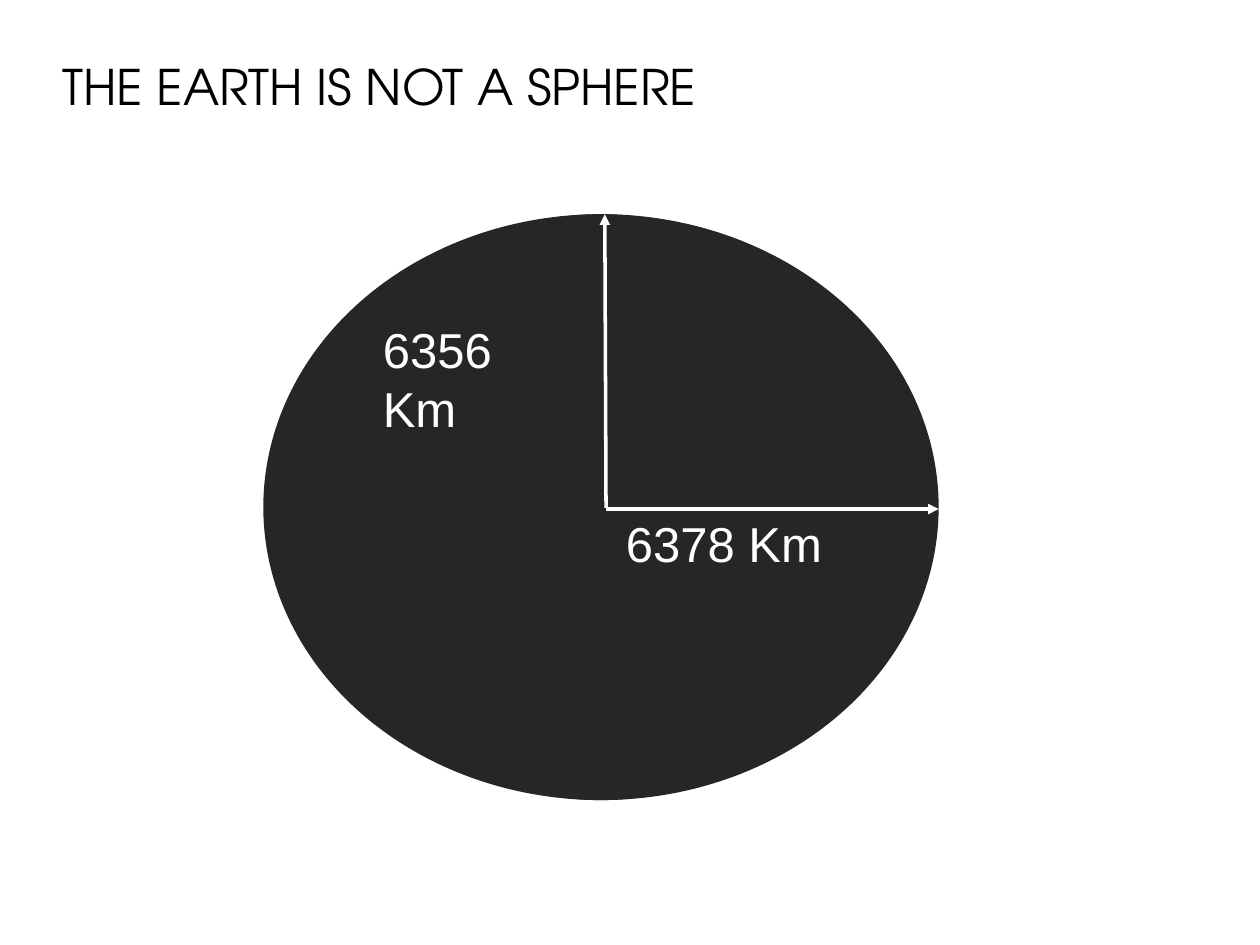
from dataclasses import dataclass

from lxml import etree
from pptx import Presentation
from pptx.dml.color import RGBColor
from pptx.enum.shapes import MSO_CONNECTOR as Connector, MSO_SHAPE as Shape
from pptx.enum.text import MSO_ANCHOR as Anchor, MSO_AUTO_SIZE as AutoSize
from pptx.oxml.ns import qn
from pptx.slide import Slide
from pptx.util import Inches, Pt

BLACK = RGBColor(0x00, 0x00, 0x00)
WHITE = RGBColor(0xFF, 0xFF, 0xFF)
CHARCOAL = RGBColor(0x26, 0x26, 0x26)

GLOBE_TOP, GLOBE_HEIGHT = 1.7, 4.65


@dataclass
class Globe:
    left: float
    width: float


@dataclass
class Radius:
    start: tuple[float, float]
    end: tuple[float, float]
    label: str
    label_left: float
    label_top: float
    label_width: float


GLOBES = [Globe(2.48, 4.57), Globe(2.09, 5.36)]
RADII = [
    Radius((4.81, 4.04), (7.45, 4.04), "6378 Km", 4.87, 4.03, 1.86),
    Radius((4.81, 4.03), (4.8, GLOBE_TOP), "6356 Km", 2.94, 2.49, 1.75),
]


def add_text(page: Slide, text: str, left: float, top: float, width: float,
             height: float, *, font: str, color: RGBColor, size: int = 28,
             wrap: bool = True, auto_size: AutoSize = AutoSize.NONE) -> None:
    box = page.shapes.add_textbox(Inches(left), Inches(top), Inches(width), Inches(height))
    frame = box.text_frame
    frame.word_wrap = wrap
    frame.auto_size = auto_size
    frame.vertical_anchor = Anchor.TOP
    span = frame.paragraphs[0].add_run()
    span.text = text
    span.font.name = font
    span.font.size = Pt(size)
    span.font.color.rgb = color


def add_globe(page: Slide, globe: Globe) -> None:
    oval = page.shapes.add_shape(Shape.OVAL, Inches(globe.left), Inches(GLOBE_TOP),
                                 Inches(globe.width), Inches(GLOBE_HEIGHT))
    oval.shadow.inherit = False
    oval.fill.solid()
    oval.fill.fore_color.rgb = CHARCOAL
    oval.line.fill.background()


def add_arrow(page: Slide, radius: Radius) -> None:
    points = [Inches(value) for value in (*radius.start, *radius.end)]
    arrow = page.shapes.add_connector(Connector.STRAIGHT, *points)
    arrow.line.color.rgb = WHITE
    arrow.line.width = Pt(0)
    etree.SubElement(arrow.line._get_or_add_ln(), qn("a:tailEnd"), type="triangle")
    etree.SubElement(arrow._element.spPr, qn("a:effectLst"))


def main() -> None:
    deck = Presentation()
    deck.slide_width, deck.slide_height = Inches(10), Inches(7.5)
    page = deck.slides.add_slide(deck.slide_layouts[6])

    # Sphere with the flattened Earth over it
    for globe in GLOBES:
        add_globe(page, globe)

    # Radius labels
    for radius in RADII:
        add_text(page, radius.label, radius.label_left, radius.label_top,
                 radius.label_width, 0.57, font="Arial", color=WHITE,
                 wrap=False, auto_size=AutoSize.SHAPE_TO_FIT_TEXT)

    # Title
    add_text(page, "THE EARTH IS NOT A SPHERE", 0.4, 0.4, 9.6, 1.1,
             font="TeX Gyre Adventor", color=BLACK)

    # Radius arrows
    for radius in RADII:
        add_arrow(page, radius)

    deck.save("out.pptx")


if __name__ == "__main__":
    main()
